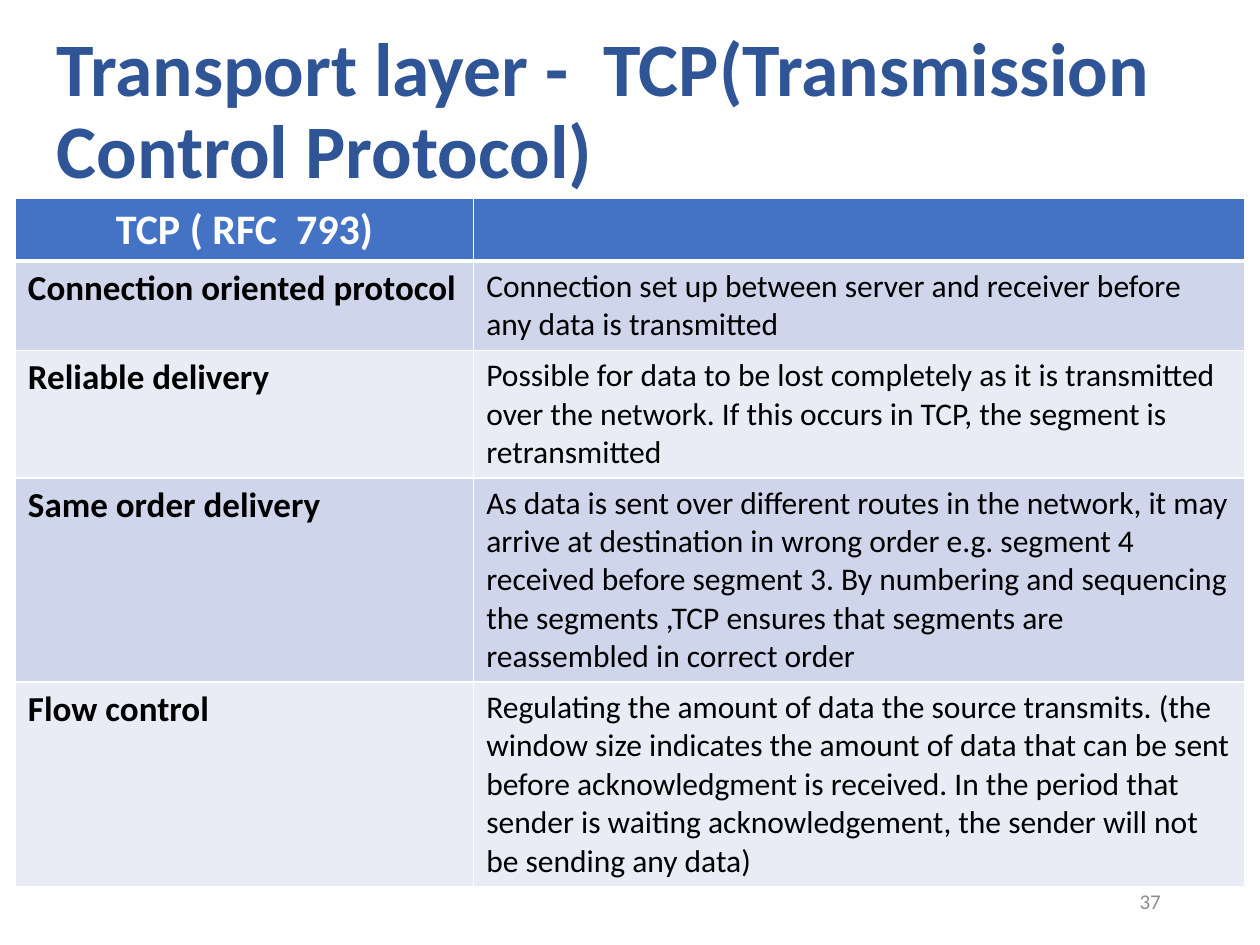
from lxml.etree import SubElement
from pptx import Presentation
from pptx.dml.color import RGBColor
from pptx.enum.text import MSO_ANCHOR, PP_ALIGN
from pptx.oxml.ns import qn
from pptx.util import Cm, Pt

# Content
TITLE = "Transport layer -  TCP(Transmission Control Protocol)"
PAGE_NUMBER = "37"
HEADER = ("TCP ( RFC  793)", "")
FEATURES = [
    ("Connection oriented protocol",
     "Connection set up between server and receiver before any data is transmitted"),
    ("Reliable delivery",
     "Possible for data to be lost completely as it is transmitted over the network. "
     "If this occurs in TCP, the segment is retransmitted"),
    ("Same order delivery",
     "As data is sent over different routes in the network, it may arrive at destination "
     "in wrong order e.g. segment 4 received before segment 3. By numbering and sequencing "
     "the segments ,TCP ensures that segments are reassembled in correct order"),
    ("Flow control",
     "Regulating the amount of data the source transmits. (the window size indicates the "
     "amount of data that can be sent before acknowledgment is received. In the period that "
     "sender is waiting acknowledgement, the sender will not be sending any data)"),
]

# Style, lengths in centimetres
FONT = "Calibri"
HEADER_FILL = "4472C4"
BAND_FILLS = ("CFD5EA", "E9EBF5")
COLUMN_WIDTHS = (9.24, 15.54)
ROW_HEIGHTS = (1.25, 1.8, 2.57, 4.12, 4.12)


def color(value):
    return RGBColor.from_string(value)


def add_run(paragraph, text, size, font_color, bold=False):
    run = paragraph.add_run()
    run.text = text
    run.font.name = FONT
    run.font.size = Pt(size)
    run.font.bold = bold
    run.font.color.rgb = color(font_color)


def add_text(slide, box, text, size, font_color, bold=False,
             alignment=PP_ALIGN.LEFT, line_spacing=1.0):
    shape = slide.shapes.add_textbox(*(Cm(length) for length in box))
    frame = shape.text_frame
    frame.word_wrap = True
    frame.vertical_anchor = MSO_ANCHOR.MIDDLE
    paragraph = frame.paragraphs[0]
    paragraph.alignment = alignment
    paragraph.line_spacing = line_spacing
    add_run(paragraph, text, size, font_color, bold)


def set_borders(cell, widths):
    properties = cell._tc.get_or_add_tcPr()
    for position, (side, width) in enumerate(widths.items()):
        line = properties.makeelement(qn(f"a:{side}"), {"w": str(Pt(width))})
        fill = SubElement(line, qn("a:solidFill"))
        SubElement(fill, qn("a:srgbClr"), val="FFFFFF")
        properties.insert(position, line)


def add_feature_table(slide):
    rows = [HEADER, *FEATURES]
    table = slide.shapes.add_table(
        len(rows), len(COLUMN_WIDTHS), Cm(0.31), Cm(3.99),
        Cm(sum(COLUMN_WIDTHS)), Cm(sum(ROW_HEIGHTS))).table
    for column, width in zip(table.columns, COLUMN_WIDTHS):
        column.width = Cm(width)
    for row, height in zip(table.rows, ROW_HEIGHTS):
        row.height = Cm(height)

    for row_index, texts in enumerate(rows):
        is_header = row_index == 0
        fill = HEADER_FILL if is_header else BAND_FILLS[(row_index - 1) % 2]
        for column_index, text in enumerate(texts):
            cell = table.cell(row_index, column_index)
            cell.fill.solid()
            cell.fill.fore_color.rgb = color(fill)
            set_borders(cell, {"lnL": 1, "lnR": 1,
                               "lnT": 3 if row_index == 1 else 1,
                               "lnB": 3 if is_header else 1})
            if not text:
                continue
            paragraph = cell.text_frame.paragraphs[0]
            if is_header:
                paragraph.alignment = PP_ALIGN.CENTER
                add_run(paragraph, text, 24, "FFFFFF", bold=True)
            else:
                is_name = column_index == 0
                add_run(paragraph, text, 20 if is_name else 18, "000000", bold=is_name)


def main():
    presentation = Presentation()
    presentation.slide_width = Cm(25.4)
    presentation.slide_height = Cm(19.05)
    slide = presentation.slides.add_slide(presentation.slide_layouts[6])

    # Title, table, page number
    add_text(slide, (0.89, 0.99, 24.2, 2.57), TITLE, 43.2, "2F5597",
             bold=True, line_spacing=0.9)
    add_feature_table(slide)
    add_text(slide, (17.93, 17.65, 5.72, 1.02), PAGE_NUMBER, 12, "8C8C8C",
             alignment=PP_ALIGN.RIGHT)

    presentation.save("out.pptx")


if __name__ == "__main__":
    main()
